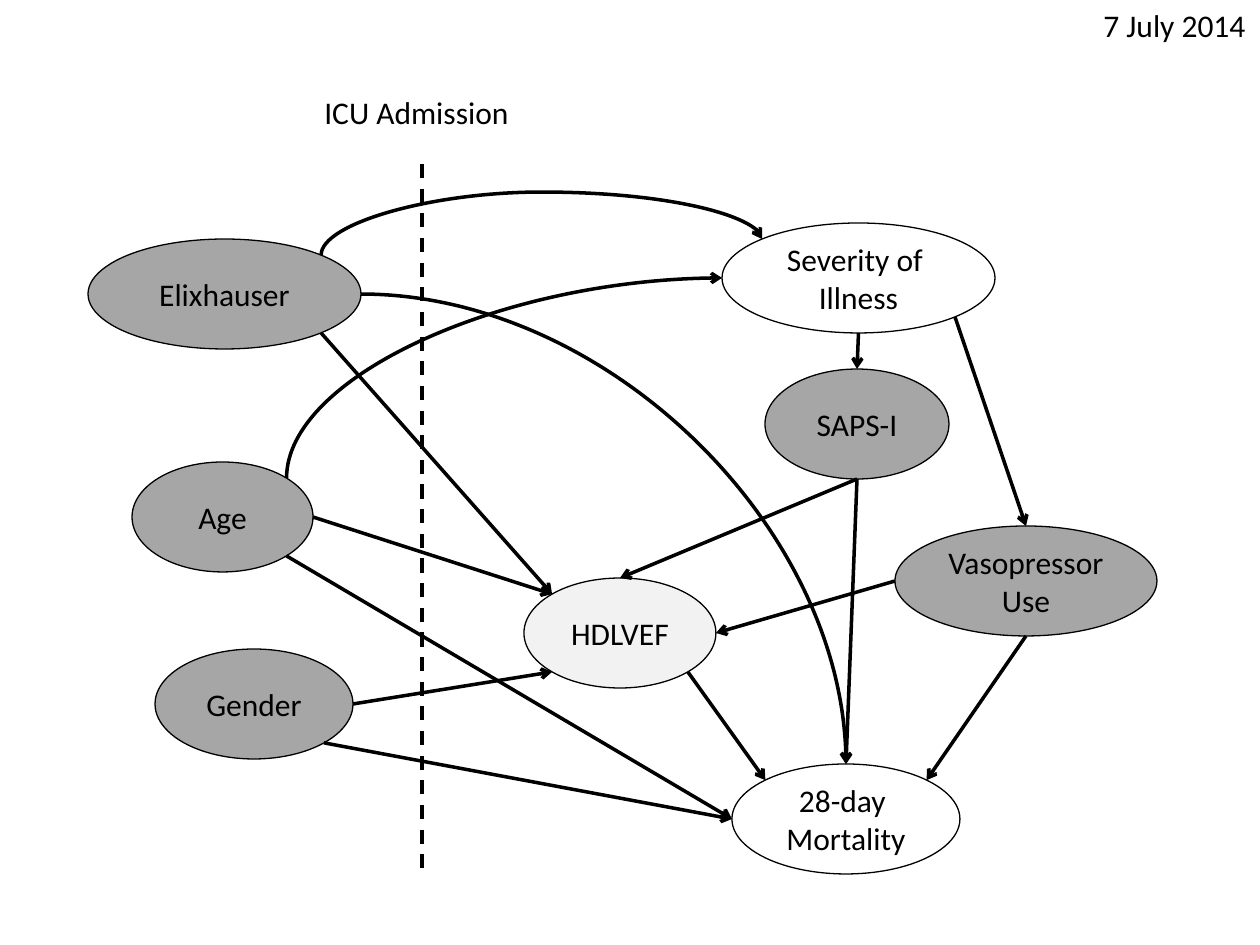
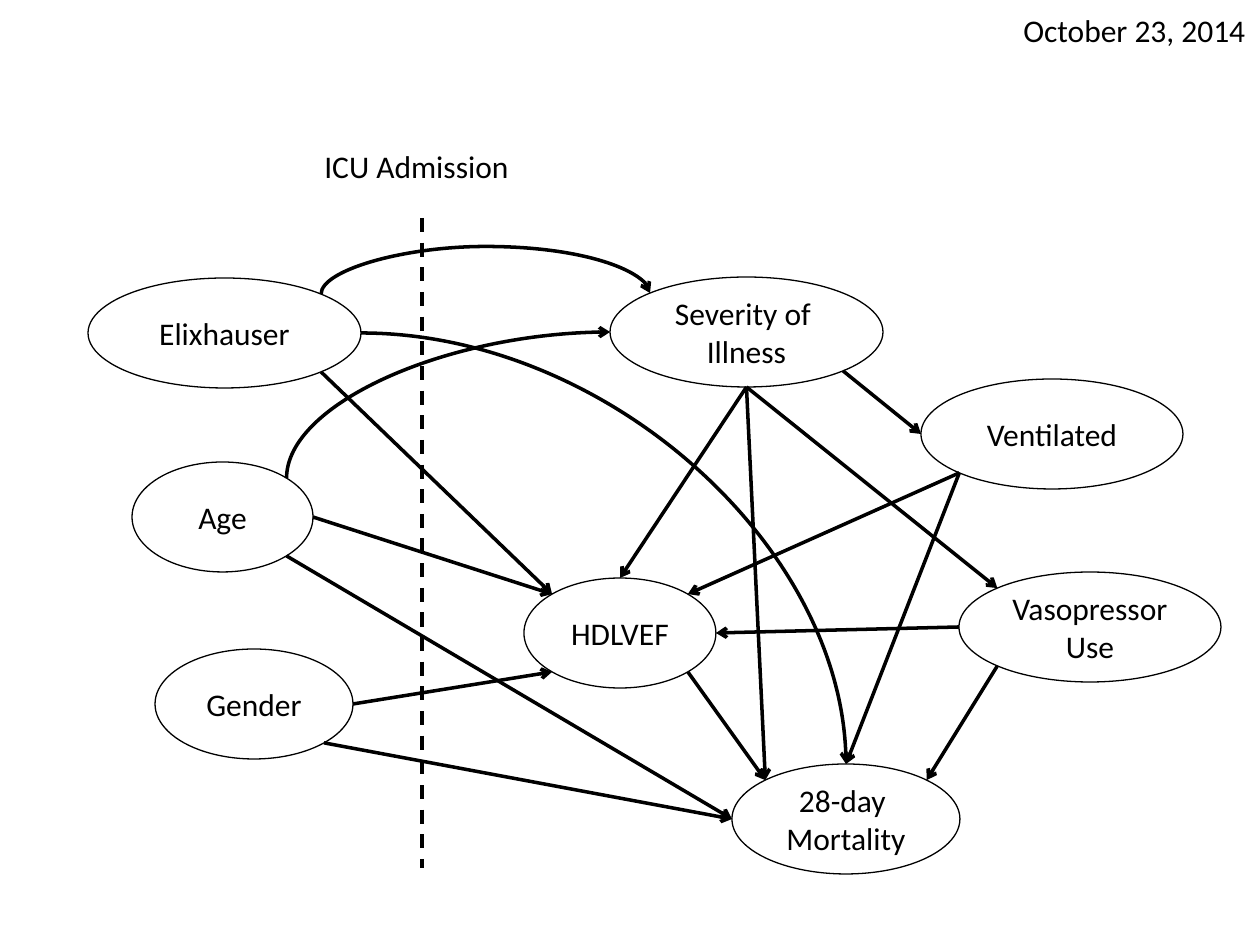
from math import cos, radians, sin

from lxml import etree
from pptx import Presentation
from pptx.dml.color import RGBColor
from pptx.enum.dml import MSO_LINE
from pptx.enum.shapes import MSO_CONNECTOR, MSO_SHAPE
from pptx.enum.text import MSO_ANCHOR, MSO_AUTO_SIZE, PP_ALIGN
from pptx.oxml.ns import qn
from pptx.util import Emu, Pt

BLACK = RGBColor(0x00, 0x00, 0x00)
GREY = RGBColor(0xA6, 0xA6, 0xA6)
PALE = RGBColor(0xF2, 0xF2, 0xF2)
FONT = "Calibri"
TEXT_SIZE = Pt(18)
OUTLINE = Pt(0.75)
STROKE = Pt(2)
SCALE = 914400 / 126
NODE_HEIGHT = 110
CAPTION_HEIGHT = 51
BLANK_LAYOUT = 6

OVAL = MSO_SHAPE.OVAL
STRAIGHT = MSO_CONNECTOR.STRAIGHT
CURVE = MSO_CONNECTOR.CURVE
DASH = MSO_LINE.DASH
CENTER = PP_ALIGN.CENTER
LEFT_ALIGN = PP_ALIGN.LEFT
MIDDLE = MSO_ANCHOR.MIDDLE
FIT_SHAPE = MSO_AUTO_SIZE.SHAPE_TO_FIT_TEXT

TOP, TOP_LEFT, LEFT, BOTTOM_LEFT, BOTTOM, BOTTOM_RIGHT, RIGHT, TOP_RIGHT = range(8)


def emu(pixels):
    return Emu(round(pixels * SCALE))


class Diagram:
    def __init__(self, deck):
        self.deck = deck

    def start(self):
        self.page = self.deck.slides.add_slide(self.deck.slide_layouts[BLANK_LAYOUT])
        self.nodes = {}

    def set_text(self, frame, text, alignment):
        frame.text = text
        for para in frame.paragraphs:
            para.alignment = alignment
            for span in para.runs:
                span.font.name = FONT
                span.font.size = TEXT_SIZE
                span.font.color.rgb = BLACK

    def caption(self, text, left, top, width):
        box = self.page.shapes.add_textbox(
            emu(left), emu(top), emu(width), emu(CAPTION_HEIGHT))
        self.set_text(box.text_frame, text, LEFT_ALIGN)
        box.text_frame.word_wrap = False
        box.text_frame.auto_size = FIT_SHAPE

    def node(self, name, text, left, top, width, fill=None):
        oval = self.page.shapes.add_shape(
            OVAL, emu(left), emu(top), emu(width), emu(NODE_HEIGHT))
        oval.shadow.inherit = False
        if fill is None:
            oval.fill.background()
        else:
            oval.fill.solid()
            oval.fill.fore_color.rgb = fill
        oval.line.color.rgb = BLACK
        oval.line.width = OUTLINE
        oval.text_frame.vertical_anchor = MIDDLE
        self.set_text(oval.text_frame, text, CENTER)
        self.nodes[name] = (oval, left, top, width)

    def site(self, name, side):
        oval, left, top, width = self.nodes[name]
        angle = radians(90 + 45 * side)
        return (left + width / 2 * (1 + cos(angle)),
                top + NODE_HEIGHT / 2 * (1 - sin(angle)))

    def connector(self, kind, start, end, dashed=False):
        line = self.page.shapes.add_connector(
            kind, *[emu(value) for value in (*start, *end)])
        line.line.color.rgb = BLACK
        line.line.width = STROKE
        properties = line.element.spPr
        if dashed:
            line.line.dash_style = DASH
        else:
            outline = properties.find(qn("a:ln"))
            etree.SubElement(outline, qn("a:tailEnd"), type="arrow")
        etree.SubElement(properties, qn("a:effectLst"))
        return line

    def divider(self, x, top, bottom):
        self.connector(STRAIGHT, (x, top), (x, bottom), dashed=True)

    def arrow(self, source, source_side, target, target_side):
        line = self.connector(
            STRAIGHT, self.site(source, source_side), self.site(target, target_side))
        links = line.element.find(".//" + qn("p:cNvCxnSpPr"))
        ends = (("a:stCxn", source, source_side), ("a:endCxn", target, target_side))
        for tag, name, side in ends:
            shape_id = self.nodes[name][0].shape_id
            etree.SubElement(links, qn(tag), id=str(shape_id), idx=str(side))

    def falling_curve(self, source, source_side, target, target_side):
        line = self.connector(
            CURVE, self.site(source, source_side), self.site(target, target_side))
        line.element.spPr.find(qn("a:prstGeom")).set("prst", "curvedConnector2")

    def rising_curve(self, source, source_side, target, target_side, rise=None):
        start = self.site(source, source_side)
        end = self.site(target, target_side)
        line = self.connector(CURVE, start, end)
        across, climb = end[0] - start[0], start[1] - end[1]
        line.left = emu((start[0] + end[0] - climb) / 2)
        line.top = emu((start[1] + end[1] - across) / 2)
        line.width, line.height = emu(climb), emu(across)
        properties = line.element.spPr
        frame = properties.find(qn("a:xfrm"))
        for key, value in (("rot", "5400000"), ("flipH", "1"), ("flipV", "1")):
            frame.set(key, value)
        geometry = properties.find(qn("a:prstGeom"))
        if rise is None:
            geometry.set("prst", "curvedConnector2")
        else:
            guides = geometry.find(qn("a:avLst"))
            ratio = round(rise / climb * 100000)
            etree.SubElement(guides, qn("a:gd"), name="adj1", fmla=f"val {ratio}")

    def causes(self, date, admission_top, elixhauser_top, severity, vasopressor,
               rise, fill=None, outcome_fill=None):
        self.start()
        self.divider(422, admission_top + 77, 868)
        self.caption("ICU Admission", 312, admission_top, 212)
        self.caption(*date)
        self.node("elixhauser", "Elixhauser", 88, elixhauser_top, 273, fill)
        self.node("age", "Age", 132, 462, 181, fill)
        self.node("gender", "Gender", 155, 649, 198, fill)
        self.node("severity", "Severity of \nIllness", *severity, 273)
        self.node("vasopressor", "Vasopressor\nUse", *vasopressor, 262, fill)
        self.node("mortality", "28-day \nMortality", 732, 764, 228)
        self.node("hdlvef", "HDLVEF", 524, 578, 192, outcome_fill)
        self.rising_curve("elixhauser", TOP_RIGHT, "severity", TOP_LEFT, rise)
        self.rising_curve("age", TOP_RIGHT, "severity", LEFT)
        self.falling_curve("elixhauser", RIGHT, "mortality", TOP)
        for ends in SHARED_ARROWS:
            self.arrow(*ends)


SHARED_ARROWS = [
    ("hdlvef", BOTTOM_RIGHT, "mortality", TOP_LEFT),
    ("vasopressor", LEFT, "hdlvef", RIGHT),
    ("gender", RIGHT, "hdlvef", BOTTOM_LEFT),
    ("age", RIGHT, "hdlvef", TOP_LEFT),
    ("age", BOTTOM_RIGHT, "mortality", LEFT),
    ("gender", BOTTOM_RIGHT, "mortality", LEFT),
    ("elixhauser", BOTTOM_RIGHT, "hdlvef", TOP_LEFT),
]
JULY_ARROWS = [
    ("severity", BOTTOM, "saps", TOP),
    ("severity", BOTTOM_RIGHT, "vasopressor", TOP),
    ("saps", BOTTOM, "hdlvef", TOP),
    ("saps", BOTTOM, "mortality", TOP),
    ("vasopressor", BOTTOM, "mortality", TOP_RIGHT),
]
OCTOBER_ARROWS = [
    ("severity", BOTTOM, "vasopressor", TOP_LEFT),
    ("severity", BOTTOM, "hdlvef", TOP),
    ("severity", BOTTOM, "mortality", TOP_LEFT),
    ("vasopressor", BOTTOM_LEFT, "mortality", TOP_RIGHT),
    ("severity", BOTTOM_RIGHT, "ventilated", LEFT),
    ("ventilated", BOTTOM_LEFT, "mortality", TOP),
    ("ventilated", BOTTOM_LEFT, "hdlvef", TOP_RIGHT),
]

deck = Presentation()
deck.slide_width, deck.slide_height = emu(1260), emu(945)
diagram = Diagram(deck)

diagram.causes(("7 July 2014", 1091, 0, 169), 87, 239, (722, 223), (895, 526),
               63, GREY, PALE)
diagram.node("saps", "SAPS-I", 765, 369, 184, GREY)
for ends in JULY_ARROWS:
    diagram.arrow(*ends)

diagram.causes(("October 23, 2014", 1011, 5, 249), 141, 278, (610, 277), (959, 572), 48)
diagram.node("ventilated", "Ventilated", 921, 379, 262)
for ends in OCTOBER_ARROWS:
    diagram.arrow(*ends)

deck.save("out.pptx")
